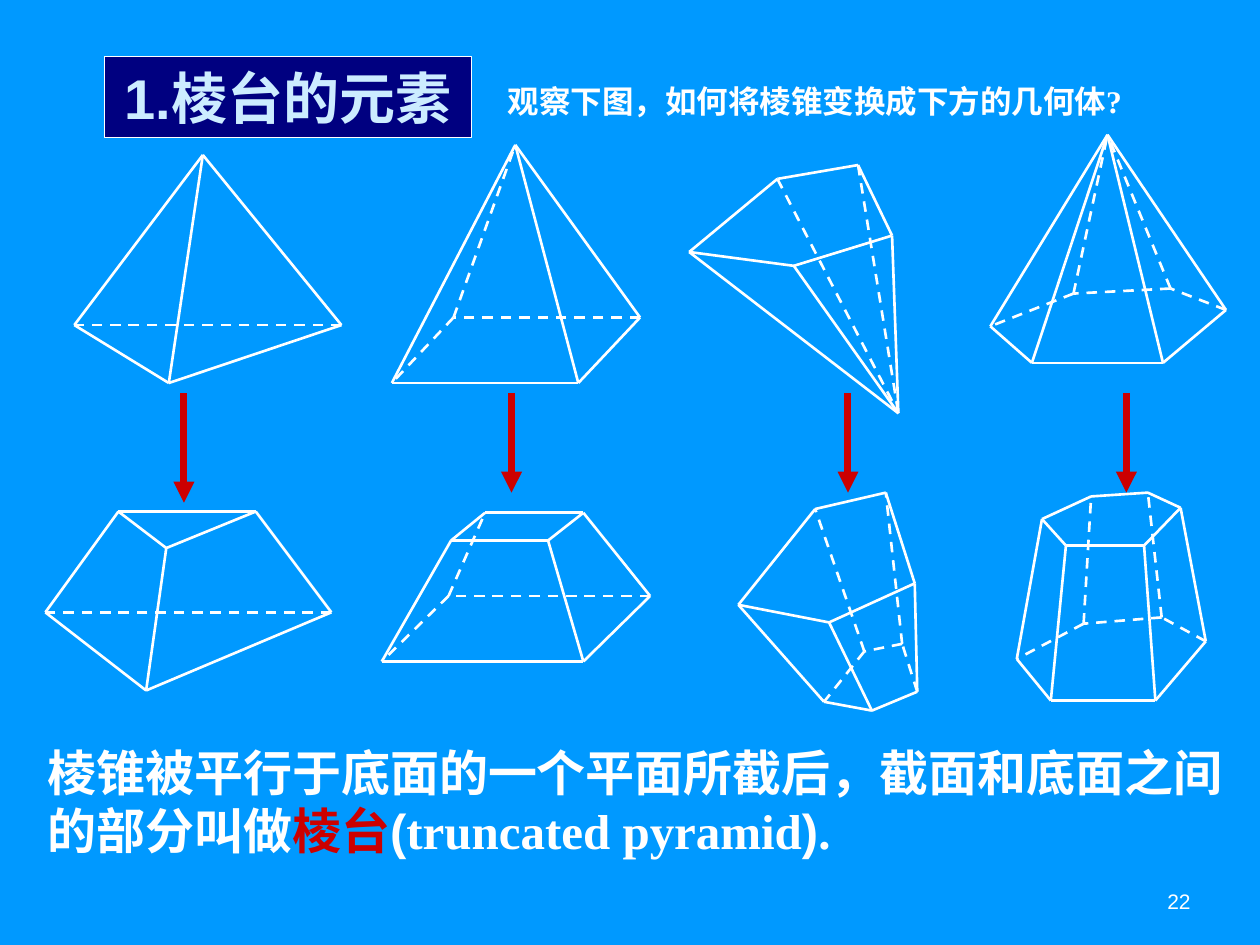
from itertools import cycle

from lxml import etree
from pptx import Presentation
from pptx.dml.color import RGBColor
from pptx.enum.dml import MSO_LINE
from pptx.enum.shapes import MSO_CONNECTOR, MSO_SHAPE
from pptx.enum.text import MSO_ANCHOR, PP_ALIGN
from pptx.oxml.ns import qn
from pptx.util import Inches, Pt

STRAIGHT = MSO_CONNECTOR.STRAIGHT
RECTANGLE = MSO_SHAPE.RECTANGLE
DASH = MSO_LINE.DASH
MIDDLE = MSO_ANCHOR.MIDDLE
RIGHT = PP_ALIGN.RIGHT

BLUE, NAVY, PALE, WHITE, RED = "0099FF", "000080", "CCECFF", "FFFFFF", "CC0000"
SANS, SERIF = "Arial", "Times New Roman"

# Each solid: box corner, base points, top points (one point is an apex),
# hidden base edges and hidden side edges, by index of their first base point
PYRAMIDS = [
    ((0.59, 1.23), [(0, 1.35), (0.75, 1.81), (2.12, 1.35)],
     [(1.02, 0)], {2}, set()),
    ((3.11, 1.15), [(0, 1.89), (1.48, 1.89), (1.97, 1.37), (0.49, 1.37)],
     [(0.98, 0)], {2, 3}, {3}),
    ((5.47, 1.31), [(0, 0.69), (0.83, 0.8), (1.61, 0.56), (1.34, 0), (0.7, 0.11)],
     [(1.66, 1.97)], set(), {3, 4}),
    ((7.86, 1.07), [(0, 1.52), (0.33, 1.81), (1.37, 1.81),
                    (1.87, 1.39), (1.43, 1.22), (0.66, 1.26)],
     [(0.93, 0)], {3, 4, 5}, {4, 5}),
]
FRUSTUMS = [
    ((0.36, 4.06), [(0, 0.8), (0.8, 1.42), (2.27, 0.8)],
     [(0.58, 0), (0.96, 0.29), (1.67, 0)], {2}, set()),
    ((3.03, 4.07), [(0, 1.18), (1.6, 1.18), (2.13, 0.66), (0.53, 0.66)],
     [(0.55, 0.22), (1.32, 0.22), (1.6, 0), (0.82, 0)], {2, 3}, {3}),
    ((5.86, 3.91), [(0.68, 1.66), (1.06, 1.73), (1.42, 1.58), (1.3, 1.2), (1, 1.26)],
     [(0, 0.89), (0.72, 1.03), (1.4, 0.72), (1.17, 0), (0.61, 0.13)],
     {2, 3, 4}, {3, 4}),
    ((8.07, 3.91), [(0, 1.32), (0.27, 1.65), (1.1, 1.65),
                    (1.5, 1.18), (1.15, 0.99), (0.53, 1.04)],
     [(0.2, 0.21), (0.39, 0.42), (1.01, 0.42), (1.3, 0.12), (1.04, 0), (0.59, 0.03)],
     {3, 4, 5}, {4, 5}),
]
ARROWS = [(1.46, 0.87), (4.06, 0.79), (6.73, 0.79), (8.94, 0.79)]  # centre, length
ARROW_TOP = 3.12


def rgb(hex_color):
    return RGBColor.from_string(hex_color)


def add_line(shapes, start, end, color, width):
    line = shapes.add_connector(STRAIGHT, *(Inches(value) for value in (*start, *end)))
    line.line.color.rgb = rgb(color)
    line.line.width = Pt(width)
    etree.SubElement(line._element.spPr, qn("a:effectLst"))
    return line


def add_solid(slide, corner, base, top, hidden_base, hidden_sides):
    left, top_edge = corner
    base, top = ([(left + x, top_edge + y) for x, y in points] for points in (base, top))
    group = slide.shapes.add_group_shape()

    def add_edge(start, end, hidden=False):
        edge = add_line(group.shapes, start, end, WHITE, 1.5)
        if hidden:
            edge.line.dash_style = DASH

    for index, (start, end) in enumerate(zip(base, base[1:] + base[:1])):
        add_edge(start, end, index in hidden_base)
    for index, (start, end) in enumerate(zip(base, cycle(top))):
        add_edge(start, end, index in hidden_sides)
    if len(top) > 1:
        for start, end in zip(top, top[1:] + top[:1]):
            add_edge(start, end)


def add_arrow(slide, center, top, length):
    arrow = add_line(slide.shapes, (center, top), (center, top + length), RED, 4)
    etree.SubElement(arrow.line._get_or_add_ln(), qn("a:tailEnd"), type="triangle")


def add_runs(paragraph, runs, size, bold=True):
    for text, font_name, color in runs:
        run = paragraph.add_run()
        run.text = text
        run.font.name = font_name
        run.font.size = Pt(size)
        run.font.bold = bold
        run.font.color.rgb = rgb(color)


def add_text(slide, box, lines, size, wrap=False, bold=True):
    shape = slide.shapes.add_textbox(*(Inches(value) for value in box))
    frame = shape.text_frame
    frame.word_wrap = wrap
    for index, runs in enumerate(lines):
        paragraph = frame.paragraphs[0] if index == 0 else frame.add_paragraph()
        add_runs(paragraph, runs, size, bold)
    return frame


def add_heading(slide, box):
    shape = slide.shapes.add_shape(RECTANGLE, *(Inches(value) for value in box))
    shape.shadow.inherit = False
    shape.fill.solid()
    shape.fill.fore_color.rgb = rgb(NAVY)
    shape.line.color.rgb = rgb(WHITE)
    shape.line.width = Pt(0.75)
    frame = shape.text_frame
    frame.word_wrap = False
    frame.vertical_anchor = MIDDLE
    add_runs(frame.paragraphs[0], [("1.棱台的元素", SANS, PALE)], 32)


def add_question(slide, box):
    add_text(slide, box, [[
        ("观察下图", SANS, WHITE), ("，", SERIF, WHITE),
        ("如何将棱锥变换成下方的几何体", SANS, WHITE), ("?", SERIF, WHITE),
    ]], 18)


def add_definition(slide, box):
    add_text(slide, box, [
        [("棱锥被平行于底面的一个平面所截后", SANS, WHITE), ("，", SERIF, WHITE),
         ("截面和底面之间", SANS, WHITE)],
        [("的部分叫做", SANS, WHITE), ("棱台", SANS, RED), ("(", SANS, WHITE),
         ("truncated pyramid", SERIF, WHITE), (")", SANS, WHITE), (".", SERIF, WHITE)],
    ], 28)


def add_page_number(slide, box):
    frame = add_text(slide, box, [[("22", SANS, WHITE)]], 12, wrap=True, bold=False)
    frame.vertical_anchor = MIDDLE
    frame.margin_left = frame.margin_right = Inches(0.05)
    frame.paragraphs[0].alignment = RIGHT


def main():
    presentation = Presentation()
    presentation.slide_width = Inches(10)
    presentation.slide_height = Inches(7.5)
    slide = presentation.slides.add_slide(presentation.slide_layouts[6])
    slide.background.fill.solid()
    slide.background.fill.fore_color.rgb = rgb(BLUE)

    # Heading row
    add_heading(slide, (0.83, 0.45, 2.91, 0.64))
    add_question(slide, (3.93, 0.6, 5.13, 0.4))

    # Pyramids above, truncated pyramids below, arrows between
    for solid in PYRAMIDS + FRUSTUMS:
        add_solid(slide, *solid)
    for center, length in ARROWS:
        add_arrow(slide, center, ARROW_TOP, length)

    # Definition and page number
    add_definition(slide, (0.28, 5.84, 9.52, 1.04))
    add_page_number(slide, (7.17, 6.95, 2.33, 0.4))
    presentation.save("out.pptx")


if __name__ == "__main__":
    main()
